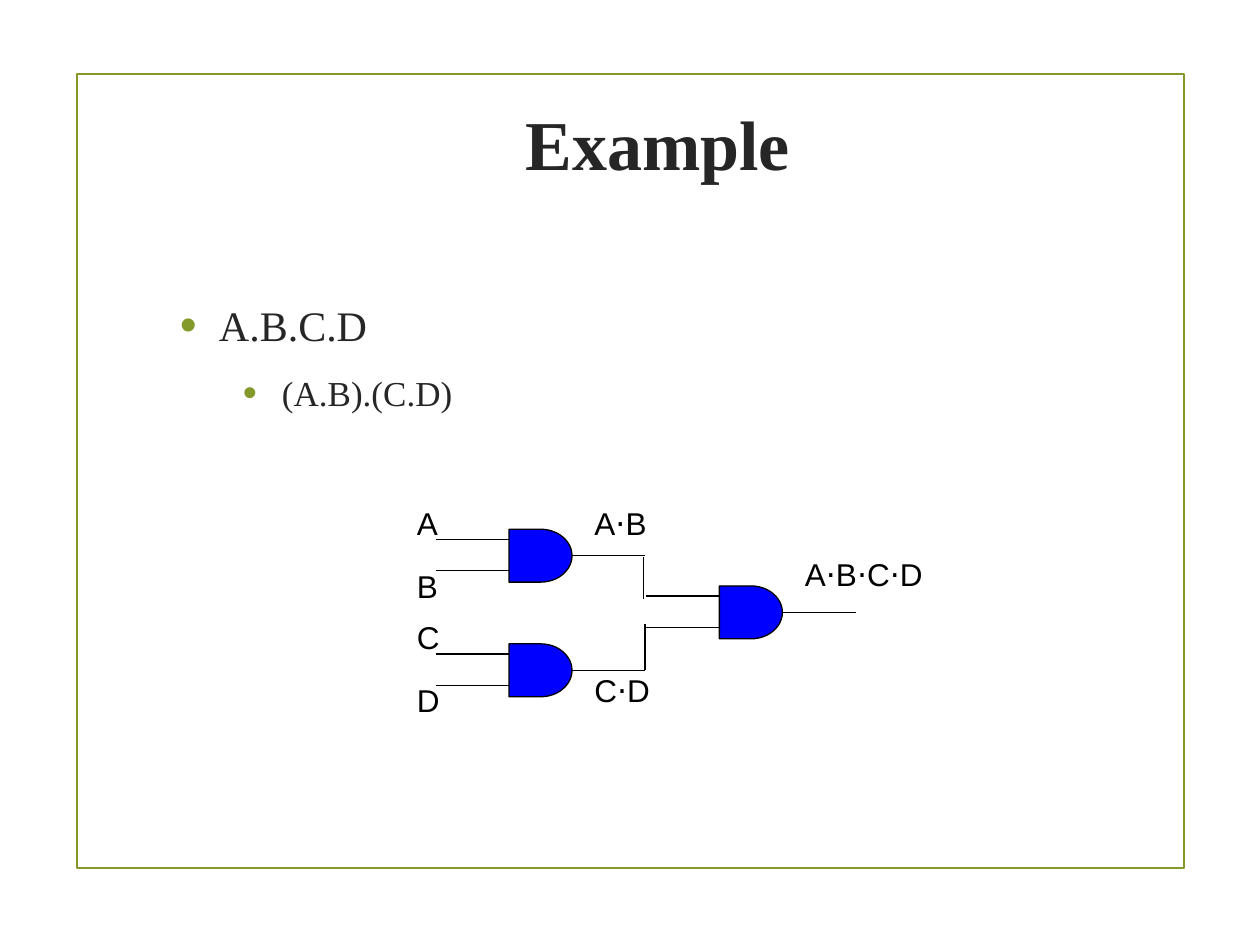
from dataclasses import dataclass

from lxml import etree
from pptx import Presentation
from pptx.dml.color import RGBColor
from pptx.enum import shapes, text
from pptx.oxml import ns
from pptx.util import Inches, Pt


@dataclass(frozen=True)
class Theme:
    accent: RGBColor = RGBColor(0x83, 0x99, 0x2A)
    body: RGBColor = RGBColor(0x26, 0x26, 0x26)
    gate: RGBColor = RGBColor(0, 0, 0xFF)
    ink: RGBColor = RGBColor(0, 0, 0)
    serif: str = "Times New Roman"
    sans: str = "Arial"
    title_size: int = 40
    label_size: int = 18
    frame_line: float = 1.25
    wire_line: float = 0.75


@dataclass(frozen=True)
class Gate:
    left: float
    top: float


@dataclass(frozen=True)
class Wire:
    start: tuple[float, float]
    end: tuple[float, float]


@dataclass(frozen=True)
class Label:
    words: str
    left: float
    top: float
    width: float = 0.33


@dataclass(frozen=True)
class Bullet:
    words: str
    level: int
    size: int
    indent: float
    before: int


THEME = Theme()
GATE_WIDTH, GATE_HEIGHT, WIRE_LENGTH = 0.5, 0.42, 0.58
INPUT_OFFSETS = (0.08, 0.33)
HANGING = 0.31

GATES = [Gate(4.04, 4.2), Gate(4.04, 5.11), Gate(5.71, 4.65)]
JOINS = [Wire((5.11, 4.42), (5.11, 4.75)), Wire((5.12, 4.95), (5.12, 5.32))]
LABELS = [
    Label("A", 3.21, 3.95),
    Label("B", 3.21, 4.45),
    Label("C", 3.21, 4.86),
    Label("D", 3.21, 5.36),
    Label("A⋅B", 4.62, 3.95, 0.67),
    Label("C⋅D", 4.62, 5.28, 0.67),
    Label("A⋅B⋅C⋅D", 6.29, 4.36, 1.25),
]
BULLETS = [
    Bullet("A.B.C.D", 0, 24, 0.31, 3),
    Bullet("(A.B).(C.D)", 1, 20, 0.81, 6),
]


def style_font(font, name: str, size: int, color: RGBColor) -> None:
    font.name, font.size = name, Pt(size)
    font.color.rgb = color


def draw_frame(page) -> None:
    frame = page.shapes.add_shape(
        shapes.MSO_SHAPE.RECTANGLE,
        Inches(0.61), Inches(0.59), Inches(8.79), Inches(6.3))
    frame.shadow.inherit = False
    frame.fill.background()
    frame.line.color.rgb = THEME.accent
    frame.line.width = Pt(THEME.frame_line)


def write_title(page, words: str) -> None:
    title = page.shapes.title
    title.left, title.top = Inches(1.5), Inches(0.42)
    title.width, title.height = Inches(7.44), Inches(1.43)
    title.text_frame.text = words
    title.text_frame.vertical_anchor = text.MSO_ANCHOR.MIDDLE
    para = title.text_frame.paragraphs[0]
    para.alignment = text.PP_ALIGN.CENTER
    style_font(para.font, THEME.serif, THEME.title_size, THEME.body)
    para.font.bold = True


def add_bullet_mark(para, indent: float) -> None:
    props = para._p.get_or_add_pPr()
    props.set("marL", str(Inches(indent)))
    props.set("indent", str(-Inches(HANGING)))
    color = etree.SubElement(props, ns.qn("a:buClr"))
    etree.SubElement(color, ns.qn("a:srgbClr"), val=str(THEME.accent))
    etree.SubElement(props, ns.qn("a:buSzPct"), val="115000")
    etree.SubElement(props, ns.qn("a:buFont"), typeface=THEME.sans)
    etree.SubElement(props, ns.qn("a:buChar"), char="•")


def write_bullets(page, bullets: list[Bullet]) -> None:
    box = page.shapes.add_textbox(
        Inches(1.33), Inches(2.33), Inches(9.17), Inches(1.88))
    frame = box.text_frame
    frame.word_wrap = True
    for index, bullet in enumerate(bullets):
        para = frame.add_paragraph() if index else frame.paragraphs[0]
        para.text, para.level = bullet.words, bullet.level
        para.space_before, para.space_after = Pt(bullet.before), Pt(6)
        add_bullet_mark(para, bullet.indent)
        style_font(para.font, THEME.serif, bullet.size, THEME.body)


def draw_wire(page, wire: Wire):
    points = [Inches(value) for value in (*wire.start, *wire.end)]
    line = page.shapes.add_connector(shapes.MSO_CONNECTOR.STRAIGHT, *points)
    line.line.color.rgb = THEME.ink
    line.line.width = Pt(THEME.wire_line)
    etree.SubElement(line._element.spPr, ns.qn("a:effectLst"))
    return line


def draw_gate(page, gate: Gate) -> None:
    body = page.shapes.add_shape(
        shapes.MSO_SHAPE.FLOWCHART_DELAY, Inches(gate.left), Inches(gate.top),
        Inches(GATE_WIDTH), Inches(GATE_HEIGHT))
    body.shadow.inherit = False
    body.fill.solid()
    body.fill.fore_color.rgb = THEME.gate
    body.line.color.rgb = THEME.ink
    body.line.width = Pt(THEME.wire_line)
    for offset in INPUT_OFFSETS:
        y = gate.top + offset
        draw_wire(page, Wire((gate.left - WIRE_LENGTH, y), (gate.left, y)))
    right, middle = gate.left + GATE_WIDTH, gate.top + GATE_HEIGHT / 2
    output = draw_wire(
        page, Wire((right, middle), (right + WIRE_LENGTH, middle)))
    output.begin_connect(body, 3)


def write_label(page, label: Label) -> None:
    box = page.shapes.add_textbox(
        Inches(label.left), Inches(label.top), Inches(label.width), Inches(0.4))
    box.text_frame.word_wrap = True
    box.text_frame.auto_size = text.MSO_AUTO_SIZE.SHAPE_TO_FIT_TEXT
    para = box.text_frame.paragraphs[0]
    para.text = label.words
    style_font(para.font, THEME.sans, THEME.label_size, THEME.ink)


def main() -> None:
    deck = Presentation()
    deck.slide_width, deck.slide_height = Inches(10), Inches(7.5)
    page = deck.slides.add_slide(deck.slide_layouts[5])

    # Frame and text
    draw_frame(page)
    write_title(page, "Example")
    write_bullets(page, BULLETS)

    # Logic circuit
    for gate in GATES:
        draw_gate(page, gate)
    for join in JOINS:
        draw_wire(page, join)
    for label in LABELS:
        write_label(page, label)

    deck.save("out.pptx")


if __name__ == "__main__":
    main()
